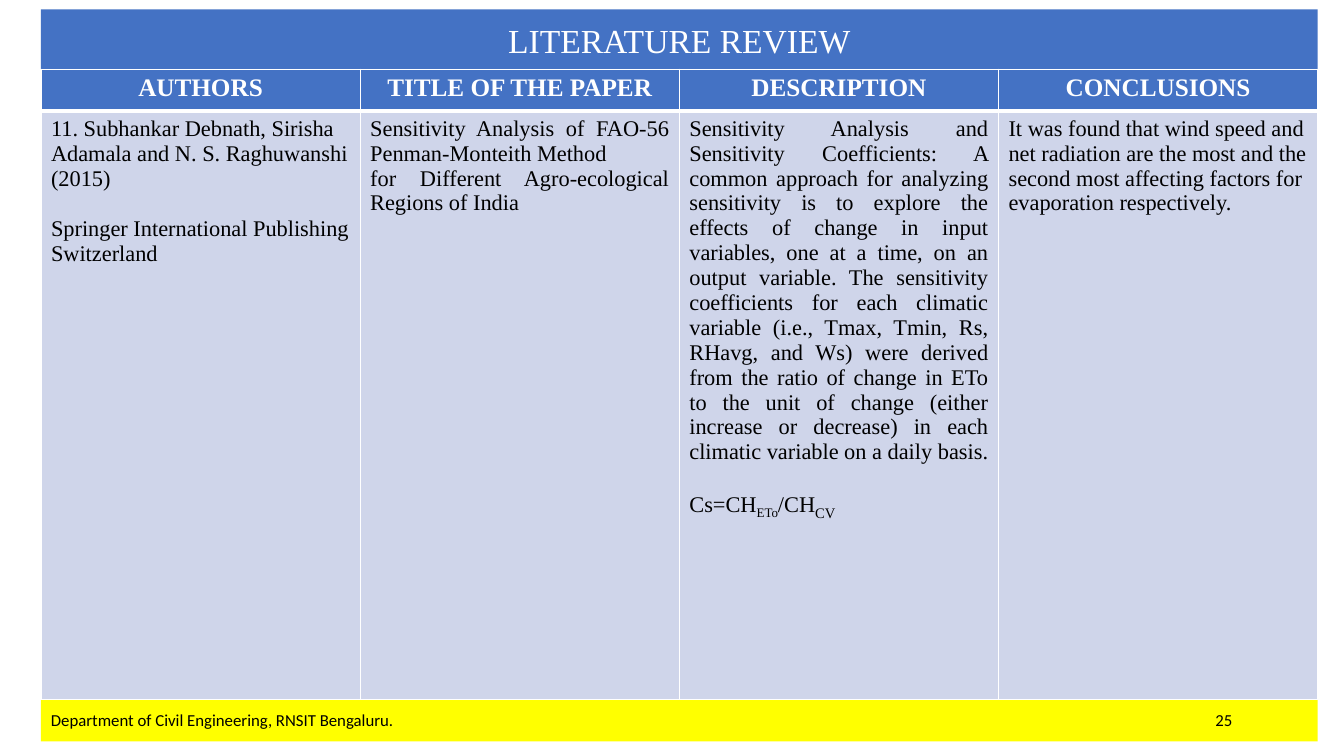
from lxml import etree
from pptx import Presentation, util as u
from pptx.dml.color import RGBColor
from pptx.enum import shapes, text
from pptx.oxml import ns

PX = 9525  # EMU per px, 96 px to the inch
LEFT, WIDTH = 39, 1216
SERIF, SANS = "Times New Roman", "Calibri"
COLORS = {"blue": "4472C4", "yellow": "FFFF00", "pale": "CFD5EA",
          "white": "FFFFFF", "black": "000000"}
LEFT_ALIGN, CENTER, JUSTIFY = (text.PP_ALIGN.LEFT, text.PP_ALIGN.CENTER,
                               text.PP_ALIGN.JUSTIFY)
GAP = 18  # points, one line between blocks of a cell

HEADINGS = ["AUTHORS", "TITLE OF THE PAPER", "DESCRIPTION", "CONCLUSIONS"]
FORMULA = [("Cs=CH", 16, False), ("ETo", 16, True), ("/CH", 16, False), ("CV", 18, True)]

# Each column: alignment, then (text, space before) for its paragraphs
REVIEW = [
    (LEFT_ALIGN, [
        ("11. Subhankar Debnath, Sirisha Adamala and N. S. Raghuwanshi", 0),
        ("(2015)", 0),
        ("Springer International Publishing Switzerland", GAP)]),
    (JUSTIFY, [
        ("Sensitivity Analysis of FAO-56 Penman-Monteith Method", 0),
        ("for Different Agro-ecological Regions of India", 0)]),
    (JUSTIFY, [
        ("Sensitivity Analysis and Sensitivity Coefficients: A common approach for "
         "analyzing sensitivity is to explore the effects of change in input variables, "
         "one at a time, on an output variable. The sensitivity coefficients for each "
         "climatic variable (i.e., Tmax, Tmin, Rs, RHavg, and Ws) were derived from the "
         "ratio of change in ETo to the unit of change (either increase or decrease) in "
         "each climatic variable on a daily basis.", 0)]),
    (LEFT_ALIGN, [
        ("It was found that wind speed and net radiation are the most and the second "
         "most affecting factors for evaporation respectively.", 0)]),
]


def rgb(name):
    return RGBColor.from_string(COLORS[name])


def style_run(run, size, color, font=SERIF, bold=False):
    run.font.size = u.Pt(size)
    run.font.name = font
    run.font.bold = bold
    run.font.color.rgb = rgb(color)


def add_band(slide, top, height, fill, words, size, color, font, align, tab=None):
    band = slide.shapes.add_shape(shapes.MSO_SHAPE.RECTANGLE,
                                  LEFT * PX, top * PX, WIDTH * PX, height * PX)
    band.shadow.inherit = False
    band.fill.solid()
    band.fill.fore_color.rgb = rgb(fill)
    band.line.fill.background()
    band.text_frame.vertical_anchor = text.MSO_ANCHOR.MIDDLE
    line = band.text_frame.paragraphs[0]
    line.alignment = align
    if tab:
        stops = etree.SubElement(line._p.get_or_add_pPr(), ns.qn("a:tabLst"))
        etree.SubElement(stops, ns.qn("a:tab"), pos=str(tab * PX), algn="l")
    line.add_run().text = words
    style_run(line.runs[0], size, color, font)


def style_cell(cell, fill, bottom=1):
    """White borders, then the fill."""
    props = cell._tc.get_or_add_tcPr()
    for side, width in (("L", 1), ("R", 1), ("T", 1), ("B", bottom)):
        border = etree.SubElement(props, ns.qn("a:ln" + side), w=str(u.Pt(width)))
        solid = etree.SubElement(border, ns.qn("a:solidFill"))
        etree.SubElement(solid, ns.qn("a:srgbClr"), val=COLORS["white"])
    cell.fill.solid()
    cell.fill.fore_color.rgb = rgb(fill)


def fill_cell(cell, paragraphs, align, size, color, bold=False):
    cell.text_frame.text = "\n".join(words for words, _ in paragraphs)
    for line, (_, before) in zip(cell.text_frame.paragraphs, paragraphs):
        line.alignment = align
        if before:
            line.space_before = u.Pt(before)
        style_run(line.runs[0], size, color, bold=bold)


def add_formula(cell):
    line = cell.text_frame.add_paragraph()
    line.alignment = JUSTIFY
    line.space_before = u.Pt(GAP)
    for words, size, subscript in FORMULA:
        run = line.add_run()
        run.text = words
        style_run(run, size, "black")
        if subscript:
            run._r.get_or_add_rPr().set("baseline", "-25000")


def add_review_table(slide):
    table = slide.shapes.add_table(2, len(HEADINGS), LEFT * PX, 66 * PX,
                                   WIDTH * PX, 600 * PX).table
    for row, height in zip(table.rows, (40, 560)):
        row.height = height * PX
    for col, (heading, (align, paragraphs)) in enumerate(zip(HEADINGS, REVIEW)):
        head, body = table.cell(0, col), table.cell(1, col)
        style_cell(head, "blue", bottom=3)
        fill_cell(head, [(heading, 0)], CENTER, 18, "white", bold=True)
        style_cell(body, "pale")
        fill_cell(body, paragraphs, align, 16, "black")
    add_formula(table.cell(1, HEADINGS.index("DESCRIPTION")))


def main():
    deck = Presentation()
    deck.slide_width, deck.slide_height = 1280 * PX, 720 * PX
    slide = deck.slides.add_slide(deck.slide_layouts[6])
    # Title band
    add_band(slide, 9, 58, "blue", "LITERATURE REVIEW", 24, "white", SERIF, CENTER)
    # Footer band, with the page number at a tab stop
    add_band(slide, 665, 41, "yellow",
             "Department of Civil Engineering, RNSIT Bengaluru.\t25",
             12, "black", SANS, LEFT_ALIGN, tab=1109)
    # Reviewed paper
    add_review_table(slide)
    deck.save("out.pptx")


if __name__ == "__main__":
    main()
